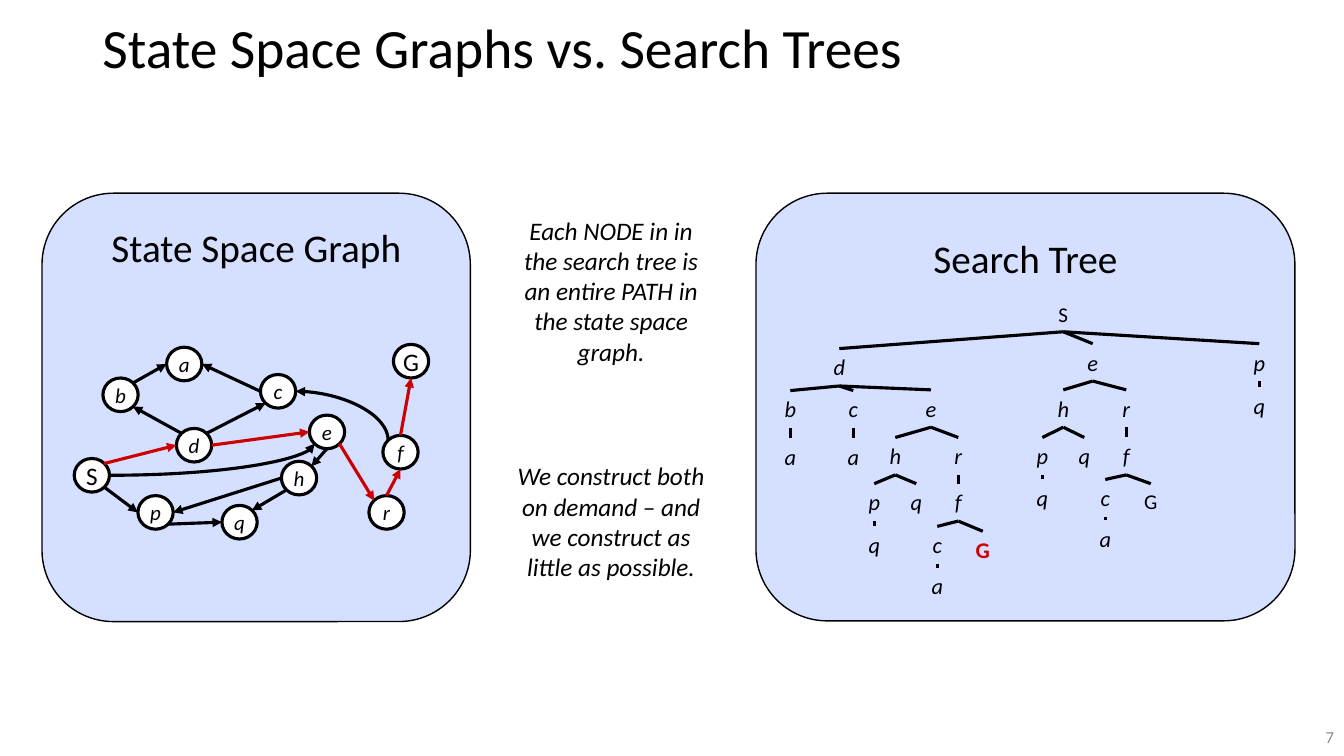
from lxml import etree
from pptx import Presentation
from pptx.dml.color import RGBColor
from pptx.enum.shapes import MSO_CONNECTOR, MSO_SHAPE
from pptx.enum.text import MSO_ANCHOR, MSO_AUTO_SIZE, PP_ALIGN
from pptx.oxml.ns import qn
from pptx.util import Pt

STRAIGHT, CURVE = MSO_CONNECTOR.STRAIGHT, MSO_CONNECTOR.CURVE
ROUNDED, CIRCLE = MSO_SHAPE.ROUNDED_RECTANGLE, MSO_SHAPE.FLOWCHART_CONNECTOR
MIDDLE, TOP = MSO_ANCHOR.MIDDLE, MSO_ANCHOR.TOP
LEFT, CENTER, RIGHT = PP_ALIGN.LEFT, PP_ALIGN.CENTER, PP_ALIGN.RIGHT
GROW, NO_FIT = MSO_AUTO_SIZE.SHAPE_TO_FIT_TEXT, MSO_AUTO_SIZE.NONE
BOTTOM_SIDE, TOP_SIDE = 2, 0

BLACK, WHITE, RED, PANEL, GREY = "000000", "FFFFFF", "CC0000", "D5DFFF", "8C8C8C"
NODE_W, NODE_H = 25.2, 24

SITES = {
    "t": (0.5, 0), "b": (0.5, 1), "l": (0, 0.5), "r": (1, 0.5),
    "tl": (0.15, 0.15), "tr": (0.85, 0.15), "bl": (0.15, 0.85), "br": (0.85, 0.85),
}
GRAPH_NODES = {
    "S": (23, 189.5), "G": (251, 108), "d": (96, 168), "b": (43.5, 132),
    "p": (68.5, 216), "q": (128.5, 223), "c": (156, 129.5), "e": (191, 158.5),
    "h": (171, 191.5), "a": (89, 110), "f": (243.5, 173), "r": (233.5, 216),
}
GRAPH_EDGES = [
    ("S", "br", "p", "l", BLACK), ("p", "br", "q", "l", BLACK),
    ("h", "bl", "q", "tr", BLACK), ("h", "l", "p", "r", BLACK),
    ("e", "b", "h", "tr", BLACK), ("e", "br", "r", "tl", RED),
    ("r", "t", "f", "b", RED), ("f", "t", "G", "b", RED),
    ("S", "tr", "d", "l", RED), ("d", "tl", "b", "br", BLACK),
    ("b", "tr", "a", "l", BLACK), ("c", "l", "a", "r", BLACK),
    ("d", "tr", "c", "bl", BLACK), ("d", "r", "e", "l", RED),
]
GRAPH_CURVES = [("c", "r", "f", "tl", "headEnd"), ("S", "r", "e", "bl", "tailEnd")]

TREE = ("S", 219.5, 73.5, [
    ("d", 59.5, 111, [
        ("b", 24.5, 141, [("a", 24.5, 175, [])]),
        ("c", 69.5, 141, [("a", 69.5, 175, [])]),
        ("e", 125, 140.5, [
            ("h", 99.5, 174.5, [
                ("p", 84.5, 207.5, [("q", 84.5, 238, [])]),
                ("q", 114.5, 207.5, [])]),
            ("r", 144.5, 174.5, [
                ("f", 144.5, 207.5, [
                    ("c", 129.5, 238, [("a", 129.5, 267.5, [])]),
                    ("G", 162, 241.5, [], RED)])])])]),
    ("e", 240.5, 107.5, [
        ("h", 219.5, 140.5, [
            ("p", 204.5, 174.5, [("q", 204.5, 204.5, [])]),
            ("q", 234.5, 174.5, [])]),
        ("r", 264.5, 140.5, [
            ("f", 264.5, 174.5, [
                ("c", 249.5, 204.5, [("a", 249.5, 233.5, [])]),
                ("G", 282, 207.5, [])])])]),
    ("p", 359.5, 107.5, [("q", 359.5, 138.5, [])]),
])


def rgb(value):
    return RGBColor.from_string(value)


def write(s, text, size, color=BLACK, align=CENTER, anchor=TOP, wrap=True, fit=GROW,
          italic=False, bold=False):
    tf = s.text_frame
    tf.text = text
    tf.word_wrap, tf.auto_size, tf.vertical_anchor = wrap, fit, anchor
    p = tf.paragraphs[0]
    p.alignment = align
    p.space_before = Pt(0)
    font = p.runs[0].font
    font.name, font.size, font.italic, font.bold = "Calibri", Pt(size), italic, bold
    font.color.rgb = rgb(color)
    return s


def add_text(slide, box, text, size, **style):
    s = slide.shapes.add_textbox(*map(Pt, box))
    return write(s, text, size, **style)


def add_filled(slide, kind, box, fill, width):
    s = slide.shapes.add_shape(kind, *map(Pt, box))
    s.shadow.inherit = False
    s.fill.solid()
    s.fill.fore_color.rgb = rgb(fill)
    s.line.color.rgb = rgb(BLACK)
    s.line.width = Pt(width)
    return s


def add_line(slide, start, end, color=BLACK, arrow=None, kind=STRAIGHT):
    c = slide.shapes.add_connector(kind, *map(Pt, (*start, *end)))
    c.line.color.rgb = rgb(color)
    c.line.width = Pt(2.25)
    sp_pr = c._element.spPr
    if arrow:
        etree.SubElement(sp_pr.find(qn("a:ln")), qn("a:" + arrow), type="triangle")
    if kind == CURVE:
        sp_pr.find(qn("a:prstGeom")).set("prst", "curvedConnector2")
    etree.SubElement(sp_pr, qn("a:effectLst"))
    return c


def add_title(slide, box, text):
    s = slide.shapes.title
    s.left, s.top, s.width, s.height = map(Pt, box)
    write(s, text, 39.6, align=LEFT, anchor=MIDDLE, fit=NO_FIT)
    s.text_frame.paragraphs[0].line_spacing = 0.9


def add_graph_panel(slide, box):
    x, y, w, h = box
    add_filled(slide, ROUNDED, box, PANEL, 1)
    add_text(slide, (x + 18, y + 18, w - 36, 41), "State Space Graph", 28)

    def site(name, side):
        left, top = GRAPH_NODES[name]
        fx, fy = SITES[side]
        return x + left + fx * NODE_W, y + top + fy * NODE_H

    for name, (left, top) in GRAPH_NODES.items():
        s = add_filled(slide, CIRCLE, (x + left, y + top, NODE_W, NODE_H), WHITE, 2.25)
        write(s, name, 18 if name.isupper() else 15, anchor=MIDDLE, wrap=False,
              fit=NO_FIT, italic=name.islower())
    for a, a_side, b, b_side, color in GRAPH_EDGES:
        add_line(slide, site(a, a_side), site(b, b_side), color, "tailEnd")
    for a, a_side, b, b_side, arrow in GRAPH_CURVES:
        add_line(slide, site(a, a_side), site(b, b_side), BLACK, arrow, CURVE)


def add_branch(slide, x, y, node):
    label, center, top, children, *goal = node
    width = {"S": 65, "G": 50}.get(label, 25.2)
    size = 15 if label.isupper() and not goal else 16
    height = 25.5 if size == 15 else 26.7
    s = add_text(slide, (x + center - width / 2, y + top, width, height), label, size,
                 color=goal[0] if goal else BLACK, italic=label.islower(), bold=bool(goal))
    for child in children:
        child_box = add_branch(slide, x, y, child)
        c = add_line(slide, (x, y), (x, y))
        c.begin_connect(s, BOTTOM_SIDE)
        c.end_connect(child_box, TOP_SIDE)
    return s


def add_tree_panel(slide, box):
    x, y, w, h = box
    add_filled(slide, ROUNDED, box, PANEL, 1)
    add_text(slide, (x, y + 26, w, 41), "Search Tree", 28)
    add_branch(slide, x, y, TREE)


def add_notes_column(slide, box):
    x, y, w, h = box
    add_text(slide, (x + 3, y, w - 6, 117),
             "Each NODE in in the search tree is an entire PATH in the state space graph.",
             18, italic=True)
    add_text(slide, (x, y + 175.5, w, 94.5),
             "We construct both on demand – and we construct as little as possible.",
             18, italic=True)


def main():
    prs = Presentation()
    prs.slide_width, prs.slide_height = Pt(960), Pt(540)
    slide = prs.slides.add_slide(prs.slide_layouts[5])
    add_title(slide, (66, 9.5, 828, 52.5), "State Space Graphs vs. Search Trees")
    add_tree_panel(slide, (540, 138, 385, 305.5))
    add_graph_panel(slide, (30, 138, 306, 306))
    add_notes_column(slide, (355.5, 150, 162, 270))
    add_text(slide, (917, 512.5, 43, 27.5), "7", 12, color=GREY, align=RIGHT,
             anchor=MIDDLE, fit=NO_FIT)
    prs.save("out.pptx")


if __name__ == "__main__":
    main()
